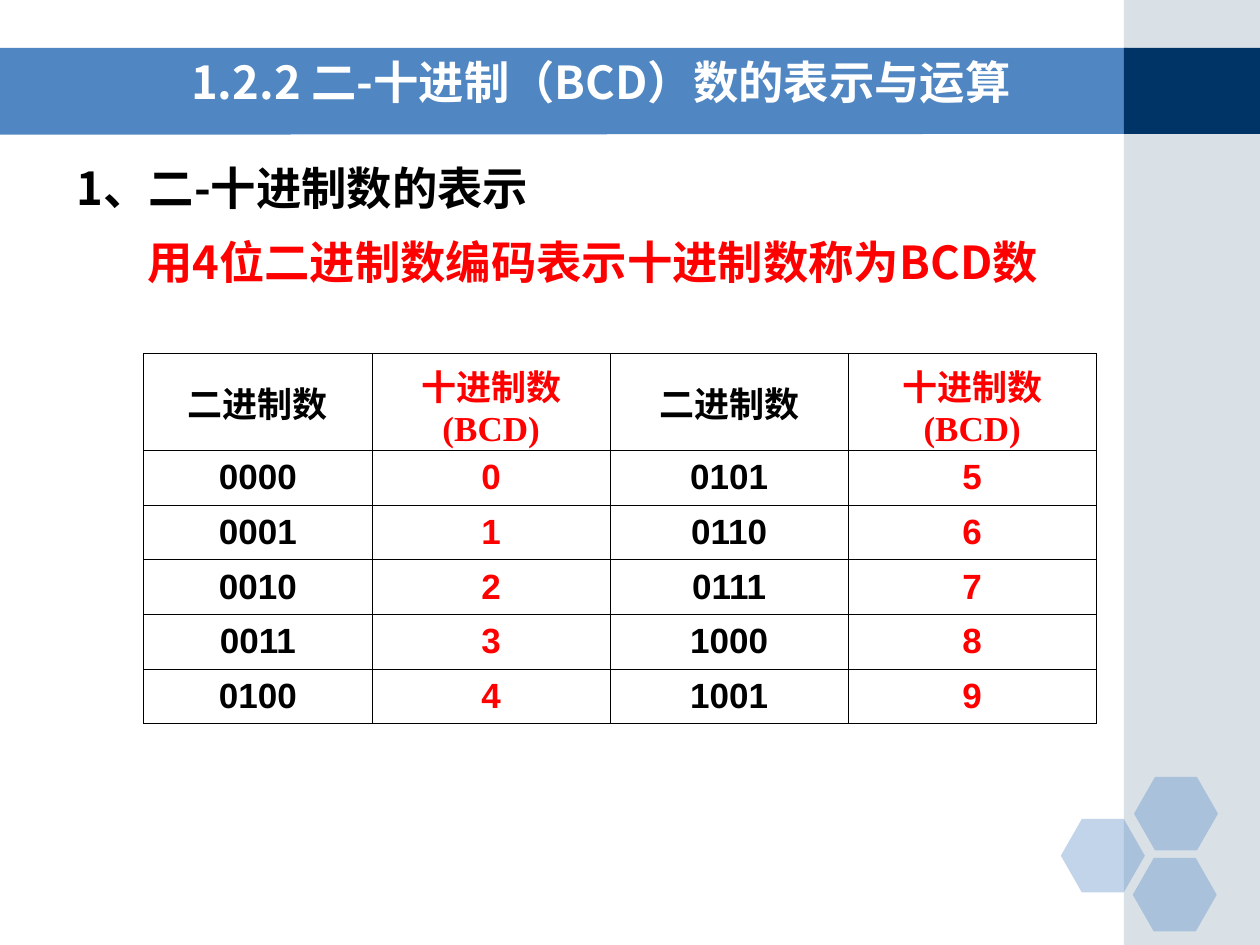
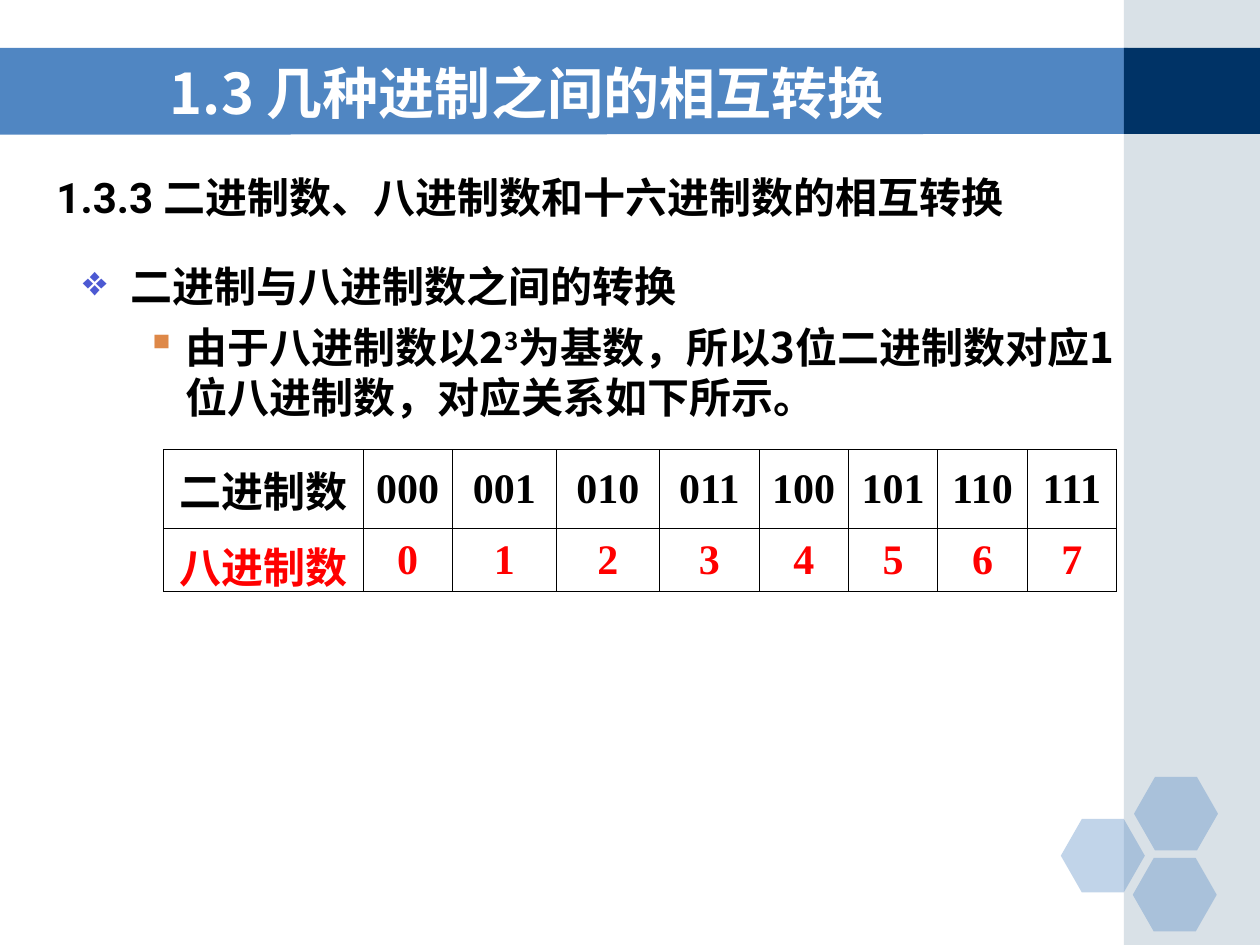
from lxml import etree
from pptx import Presentation
from pptx import util as u
from pptx.dml.color import RGBColor
from pptx.enum import shapes, text
from pptx.oxml import ns

BLACK = RGBColor(0x00, 0x00, 0x00)
WHITE = RGBColor(0xFF, 0xFF, 0xFF)
RED = RGBColor(0xFF, 0x00, 0x00)
BLUE = RGBColor(0x50, 0x86, 0xC2)
NAVY = RGBColor(0x00, 0x33, 0x66)
GREY_BLUE = RGBColor(0xA0, 0xB5, 0xC4)
VIOLET = RGBColor(0x4C, 0x59, 0xD2)
ORANGE = RGBColor(0xDE, 0x88, 0x48)

SANS = "Noto Sans CJK SC"
SERIF = "Times New Roman"
SIDE_LEFT, SIDE_WIDTH = 642.2, 77.8
BAND_TOP, BAND_HEIGHT = 27.4, 49.2
HEXAGONS = [(606.2, 468), (648, 444), (647.3, 490.3)]


def add_element(parent, tag, **attributes):
    return etree.SubElement(parent, ns.qn(tag), attributes)


class Deck:
    def __init__(self):
        self.presentation = Presentation()
        self.presentation.slide_width = u.Pt(720)
        self.presentation.slide_height = u.Pt(540)
        self.slide = None

    def add_slide(self):
        self.slide = self.presentation.slides.add_slide(self.presentation.slide_layouts[6])
        corners = [(-0.7, 27.4), (644.4, 27.4), (644.4, 76.5), (-0.7, 77)]
        points = [(u.Pt(x), u.Pt(y)) for x, y in corners]
        builder = self.slide.shapes.build_freeform(*points[0])
        builder.add_line_segments(points[1:])
        self.paint(builder.convert_to_shape(), BLUE)
        rectangle = shapes.MSO_SHAPE.RECTANGLE
        self.add_shape(rectangle, (SIDE_LEFT, 0, SIDE_WIDTH, 540), GREY_BLUE, 40)
        self.add_shape(rectangle, (SIDE_LEFT, BAND_TOP, SIDE_WIDTH, BAND_HEIGHT), NAVY)
        for left, top in HEXAGONS:
            hexagon = self.add_shape(shapes.MSO_SHAPE.HEXAGON, (left, top, 48, 42), BLUE, 35)
            hexagon.adjustments[0] = 0.286

    def paint(self, shape, color, opacity=100):
        shape.shadow.inherit = False
        shape.line.fill.background()
        shape.fill.solid()
        shape.fill.fore_color.rgb = color
        if opacity < 100:
            fill_color = shape._element.spPr.find(".//" + ns.qn("a:srgbClr"))
            add_element(fill_color, "a:alpha", val=str(opacity * 1000))

    def add_shape(self, kind, box, color, opacity=100):
        shape = self.slide.shapes.add_shape(kind, *map(u.Pt, box))
        self.paint(shape, color, opacity)
        return shape

    def add_run(self, paragraph, content, color, size, font=SANS, raised=False):
        run = paragraph.add_run()
        run.text = content
        for name, value in {"name": font, "size": u.Pt(size), "bold": True}.items():
            setattr(run.font, name, value)
        run.font.color.rgb = color
        properties = run._r.get_or_add_rPr()
        add_element(properties, "a:ea", typeface=SANS)
        if raised:
            properties.set("baseline", "30000")

    def add_frame(self, box, anchor=text.MSO_ANCHOR.TOP):
        frame = self.slide.shapes.add_textbox(*map(u.Pt, box)).text_frame
        frame.word_wrap = True
        frame.vertical_anchor = anchor
        return frame

    def add_text(self, box, content, color=BLACK, size=25.9, font=SANS,
                 spacing=1.0, anchor=text.MSO_ANCHOR.TOP):
        paragraph = self.add_frame(box, anchor).paragraphs[0]
        paragraph.line_spacing = spacing
        self.add_run(paragraph, content, color, size, font)

    def add_title(self, left, top, content, size, spacing=1.0):
        box = (left, top, 527.8, 44.6)
        self.add_text(box, content, WHITE, size, spacing=spacing, anchor=text.MSO_ANCHOR.MIDDLE)

    def add_bullets(self, box, items, size=24):
        frame = self.add_frame(box)
        for index, (level, symbol, color, margin, indent, runs) in enumerate(items):
            paragraph = frame.add_paragraph() if index else frame.paragraphs[0]
            paragraph.level = level
            properties = paragraph._p.get_or_add_pPr()
            properties.set("marL", str(u.Pt(margin)))
            properties.set("indent", str(-u.Pt(indent)))
            bullet_color = add_element(properties, "a:buClr")
            add_element(bullet_color, "a:srgbClr", val=str(color))
            add_element(properties, "a:buChar", char=symbol)
            if index:
                paragraph.space_before = u.Pt(6)
            for content, raised in runs:
                self.add_run(paragraph, content, BLACK, size, raised=raised)

    def add_table(self, left, top, widths, heights, rows, size, style):
        shape = self.slide.shapes.add_table(
            len(rows), len(widths), *map(u.Pt, (left, top, sum(widths), sum(heights))))
        table = shape.table
        for name in ("first_row", "horz_banding"):
            setattr(table, name, False)
        for column, width in zip(table.columns, widths):
            column.width = u.Pt(width)
        for row, height in zip(table.rows, heights):
            row.height = u.Pt(height)
        for row_index, values in enumerate(rows):
            for column_index, value in enumerate(values):
                cell = table.cell(row_index, column_index)
                cell.vertical_anchor = text.MSO_ANCHOR.MIDDLE
                cell.margin_left = cell.margin_right = u.Pt(7.2)
                cell.fill.background()
                self.add_borders(cell)
                paragraph = cell.text_frame.paragraphs[0]
                paragraph.alignment = text.PP_ALIGN.CENTER
                color, font = style(row_index, column_index)
                self.add_run(paragraph, value, color, size, font)

    def add_borders(self, cell):
        properties = cell._tc.get_or_add_tcPr()
        for index, side in enumerate(("a:lnL", "a:lnR", "a:lnT", "a:lnB")):
            line = add_element(properties, side, w=str(u.Pt(0.45)))
            fill = add_element(line, "a:solidFill")
            add_element(fill, "a:srgbClr", val=str(BLACK))
            properties.insert(index, line)


def build_bcd_slide(deck):
    deck.add_slide()
    deck.add_title(102.2, 25.9, "1.2.2 二-十进制（BCD）数的表示与运算", 25.9, 0.9)
    deck.add_text((36.7, 87.8, 532.8, 40.3), "1、二-十进制数的表示")
    deck.add_text((77, 133.9, 583.2, 40.3), "用4位二进制数编码表示十进制数称为BCD数", RED, spacing=0.9)
    rows = [["二进制数", "十进制数(BCD)"] * 2]
    rows += [[f"{n:04b}", str(n), f"{n + 5:04b}", str(n + 5)] for n in range(5)]
    deck.add_table(
        82.1, 202, [130.6, 136, 136, 141.8], [55.4] + [31.2] * 5, rows, 20,
        lambda row, column: (RED if column % 2 else BLACK, "Arial" if row else SERIF))


def build_octal_slide(deck):
    deck.add_slide()
    deck.add_text((25.2, 94.3, 648, 56.9), "1.3.3 二进制数、八进制数和十六进制数的相互转换",
                  size=24, font="Roboto")
    deck.add_title(90, 30.2, "1.3 几种进制之间的相互转换", 32)
    deck.add_bullets((40.3, 145.4, 609.1, 118.8), [
        (0, "❖", VIOLET, 27, 27, [("二进制与八进制数之间的转换", False)]),
        (1, "▪", ORANGE, 58.5, 22.5, [
            ("由于八进制数以2", False),
            ("3", True),
            ("为基数，所以3位二进制数对应1位八进制数，对应关系如下所示。", False)]),
    ])
    rows = [["二进制数"] + [f"{n:03b}" for n in range(8)],
            ["八进制数"] + [str(n) for n in range(8)]]
    deck.add_table(
        93.6, 256.8, [113.8, 51.2, 59.2, 59.2, 56.8] + [51.1] * 4, [45.2, 36], rows, 24,
        lambda row, column: (RED if row else BLACK, SERIF))


def main():
    deck = Deck()
    build_bcd_slide(deck)
    build_octal_slide(deck)
    deck.presentation.save("out.pptx")


if __name__ == "__main__":
    main()
